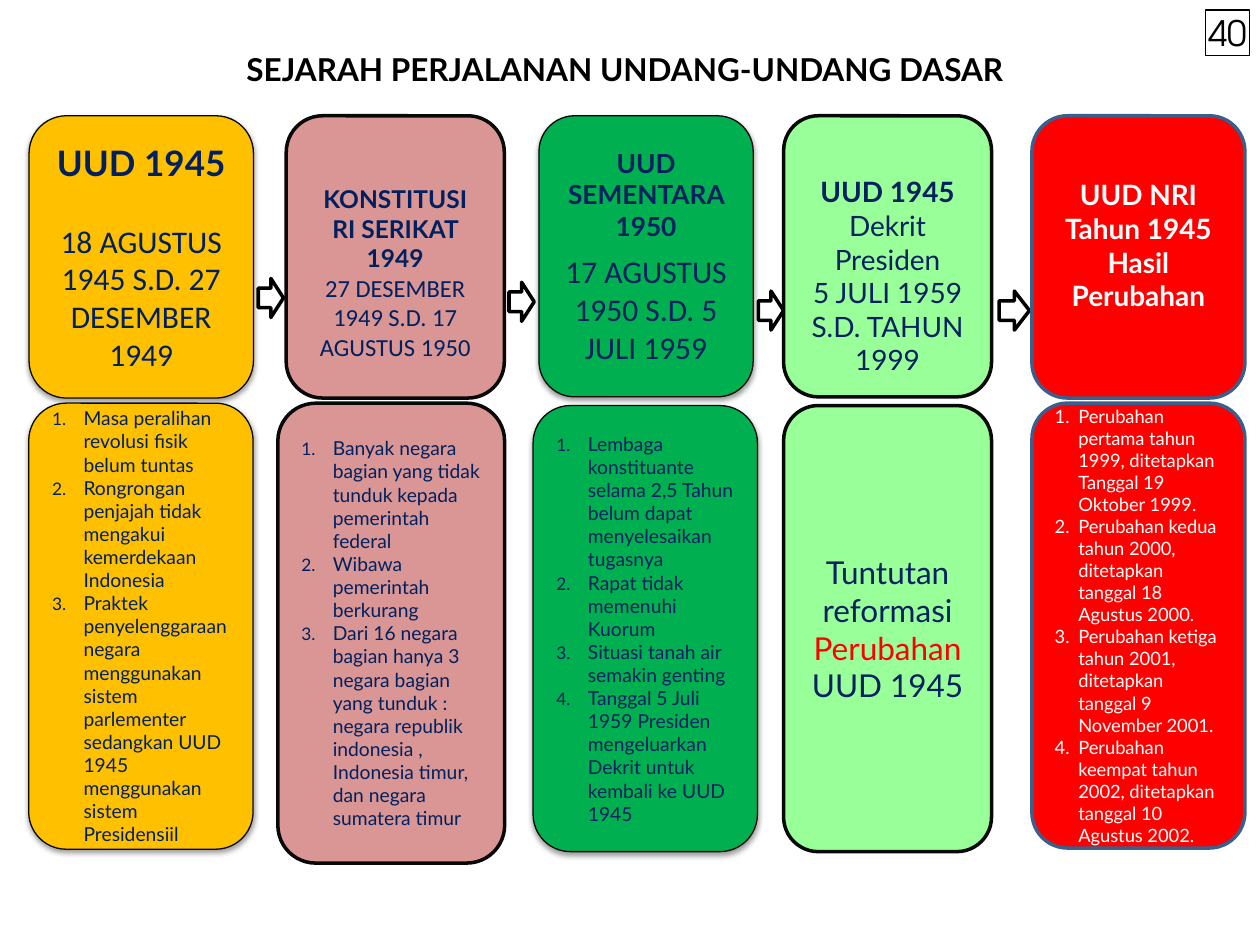
from dataclasses import dataclass
from typing import Optional

from lxml.etree import SubElement
from pptx import Presentation
from pptx.dml.color import RGBColor
from pptx.enum.shapes import MSO_SHAPE as Preset
from pptx.enum.text import MSO_ANCHOR as Anchor, PP_ALIGN as Align
from pptx.oxml.ns import qn
from pptx.util import Pt

NAVY, BLACK, WHITE, RED = "002060", "000000", "FFFFFF", "FF0000"
EDGE, BLUE_EDGE = "080808", "3A5F8C"
CARD_TOP = 66.2


@dataclass
class Box:
    left: float
    top: float
    width: float
    height: float

    def lengths(self) -> list:
        return [Pt(n) for n in (self.left, self.top, self.width, self.height)]


@dataclass
class Line:
    text: str
    size: float
    bold: bool = False
    face: str = "Lato"
    color: str = NAVY
    before: float = 0
    accent: str = ""  # opening words shown in red


@dataclass
class Numbering:
    indent: float = 18
    percent: Optional[int] = 90


@dataclass
class Card:
    box: Box
    lines: list
    pad_top: float = 3.6
    pad_bottom: float = 3.6
    numbering: Optional[Numbering] = None


@dataclass
class Era:
    fill: str
    constitution: Card
    events: Card
    edge: str = EDGE
    edge_width: float = 2
    shadow: bool = False


def rgb(color: str) -> RGBColor:
    return RGBColor.from_string(color)


def number_paragraph(paragraph, numbering: Numbering) -> None:
    props = paragraph._p.get_or_add_pPr()
    props.set("marL", str(Pt(numbering.indent)))
    props.set("indent", str(-Pt(numbering.indent)))
    if numbering.percent:
        SubElement(props, qn("a:buSzPct"), val=str(numbering.percent * 1000))
    SubElement(props, qn("a:buAutoNum"), type="arabicPeriod")


def write_lines(frame, lines: list, numbering: Optional[Numbering] = None) -> None:
    frame.word_wrap = True
    for index, line in enumerate(lines):
        paragraph = frame.add_paragraph() if index else frame.paragraphs[0]
        paragraph.alignment = Align.LEFT if numbering else Align.CENTER
        if line.before:
            paragraph.space_before = Pt(line.before)
        if numbering:
            number_paragraph(paragraph, numbering)
        font = paragraph.font
        font.name, font.size, font.bold = line.face, Pt(line.size), line.bold
        font.color.rgb = rgb(line.color)
        if line.accent:
            accent = paragraph.add_run()
            accent.text = line.accent
            accent.font.color.rgb = rgb(RED)
        paragraph.add_run().text = line.text


def add_panel(shapes, preset, box: Box, fill: Optional[str], edge: str, edge_width: float):
    panel = shapes.add_shape(preset, *box.lengths())
    panel.shadow.inherit = False
    if fill:
        panel.fill.solid()
        panel.fill.fore_color.rgb = rgb(fill)
    else:
        panel.fill.background()
    panel.line.color.rgb = rgb(edge)
    panel.line.width = Pt(edge_width)
    return panel


def cast_shadow(panel) -> None:
    effects = panel._element.spPr.find(qn("a:effectLst"))
    outer = SubElement(effects, qn("a:outerShdw"), blurRad=str(Pt(3.1)),
                       dist=str(Pt(1.6)), dir="5400000", rotWithShape="0")
    color = SubElement(outer, qn("a:srgbClr"), val=BLACK)
    SubElement(color, qn("a:alpha"), val="38000")


def add_era(slide, era: Era) -> None:
    shapes = slide.shapes.add_group_shape().shapes
    for card in (era.constitution, era.events):
        panel = add_panel(shapes, Preset.ROUNDED_RECTANGLE, card.box,
                          era.fill, era.edge, era.edge_width)
        if era.shadow:
            cast_shadow(panel)
        frame = panel.text_frame
        frame.vertical_anchor = Anchor.MIDDLE
        frame.margin_top, frame.margin_bottom = Pt(card.pad_top), Pt(card.pad_bottom)
        write_lines(frame, card.lines, card.numbering)


def listed(*texts: str, size: float = 11, color: str = NAVY) -> list:
    return [Line(text, size, color=color) for text in texts]


ARROWS = [Box(147.6, 159.1, 14.4, 22.3), Box(290.9, 161.3, 14.4, 22.3),
          Box(433.4, 166.3, 14.4, 22.3), Box(571, 166.3, 17.3, 22.3)]

ERAS = [
    Era("00B050",
        Card(Box(308, CARD_TOP, 122.4, 160.6),
             [Line("UUD SEMENTARA 1950", 15, True),
              Line("17 AGUSTUS 1950 S.D. 5 JULI 1959", 18, face="Calibri", before=6)]),
        Card(Box(304.6, 231.8, 128.2, 254.9),
             listed("Lembaga konstituante selama 2,5 Tahun belum dapat menyelesaikan tugasnya",
                    "Rapat tidak memenuhi Kuorum",
                    "Situasi tanah air semakin genting",
                    "Tanggal 5 Juli 1959 Presiden mengeluarkan Dekrit untuk kembali ke UUD 1945"),
             numbering=Numbering()),
        edge_width=0.75, shadow=True),
    Era("D99694",
        Card(Box(163.6, CARD_TOP, 124.6, 161.3),
             [Line("KONSTITUSI RI SERIKAT 1949", 14, True),
              Line("27 DESEMBER 1949 S.D. 17 AGUSTUS 1950", 14, face="Calibri")],
             pad_top=21.6),
        Card(Box(158.8, 230.4, 129.6, 262.8),
             listed("Banyak negara bagian yang tidak tunduk kepada pemerintah federal",
                    "Wibawa pemerintah berkurang",
                    "Dari 16 negara bagian hanya 3 negara bagian yang tunduk : negara republik "
                    "indonesia , Indonesia timur, dan negara sumatera timur"),
             numbering=Numbering())),
    Era("99FF99",
        Card(Box(447.8, CARD_TOP, 118.8, 160.6),
             [Line("UUD 1945", 16, True), Line("Dekrit Presiden", 16),
              Line("5 JULI 1959 S.D. TAHUN 1999", 16)],
             pad_top=25.6),
        Card(Box(447.8, 231.8, 118.8, 254.9),
             [Line("Tuntutan reformasi", 18), Line("UUD 1945", 18, accent="Perubahan ")])),
    Era(RED,
        Card(Box(589.7, CARD_TOP, 121.7, 161.3),
             [Line("UUD NRI Tahun 1945 Hasil Perubahan", 16, True, color=WHITE)],
             pad_bottom=17),
        Card(Box(589.7, 230.4, 121.7, 254.2),
             listed("Perubahan pertama tahun 1999, ditetapkan Tanggal 19 Oktober 1999.",
                    "Perubahan kedua tahun 2000, ditetapkan tanggal 18 Agustus 2000.",
                    "Perubahan ketiga tahun 2001, ditetapkan tanggal 9 November 2001.",
                    "Perubahan keempat tahun 2002, ditetapkan tanggal 10 Agustus 2002.",
                    size=10.5, color=WHITE),
             numbering=Numbering(13.5, None)),
        edge=BLUE_EDGE),
    Era("FFC000",
        Card(Box(16.6, CARD_TOP, 128.2, 161.3),
             [Line("UUD 1945", 20, True),
              Line("18 AGUSTUS 1945 S.D. 27 DESEMBER 1949", 18, face="Calibri", before=22)]),
        Card(Box(16.4, 230.4, 128.2, 254.9),
             listed("Masa peralihan revolusi fisik belum tuntas",
                    "Rongrongan penjajah tidak mengakui kemerdekaan Indonesia",
                    "Praktek penyelenggaraan negara menggunakan sistem parlementer sedangkan "
                    "UUD 1945 menggunakan sistem Presidensiil"),
             numbering=Numbering()),
        edge_width=0.75, shadow=True),
]


def main() -> None:
    deck = Presentation()
    deck.slide_width, deck.slide_height = Pt(720), Pt(540)
    slide = deck.slides.add_slide(deck.slide_layouts[6])

    for arrow in ARROWS:
        add_panel(slide.shapes, Preset.RIGHT_ARROW, arrow, WHITE, BLACK, 2)

    page_number = add_panel(slide.shapes, Preset.RECTANGLE, Box(689, 5.8, 25.2, 25.9),
                            None, BLACK, 0.75).text_frame
    page_number.margin_left = page_number.margin_right = 0
    page_number.margin_top = page_number.margin_bottom = 0
    page_number.vertical_anchor = Anchor.MIDDLE
    write_lines(page_number, [Line("40", 20, face="TeX Gyre Adventor", color=BLACK)])

    heading = slide.shapes.add_textbox(*Box(0, 25.2, 714.2, 28.8).lengths()).text_frame
    write_lines(heading, [Line("SEJARAH PERJALANAN UNDANG-UNDANG DASAR", 18, True, color=BLACK)])

    for era in ERAS:
        add_era(slide, era)
    deck.save("out.pptx")


if __name__ == "__main__":
    main()
